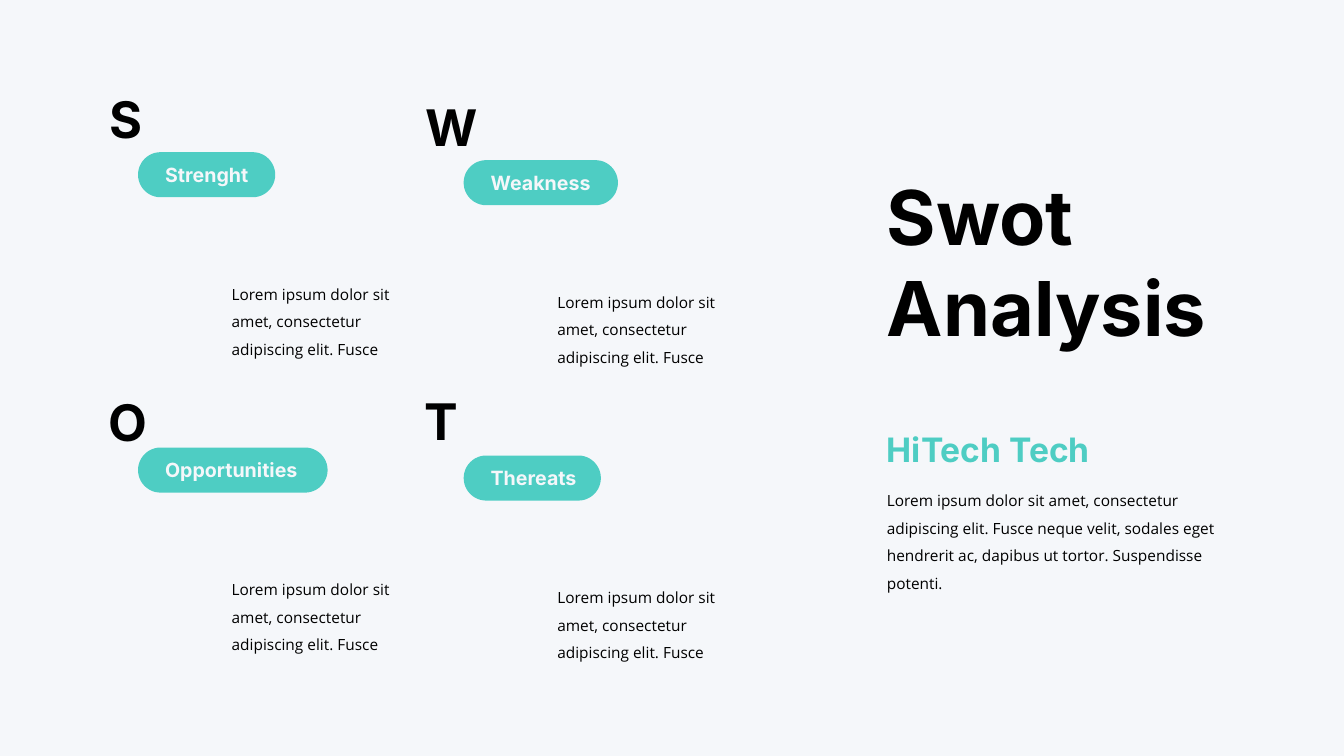
import pptx
import pptx.dml.color
import pptx.enum.shapes
import pptx.enum.text
import pptx.util

Pt = pptx.util.Pt

COLORS = {"background": "F5F7FA", "accent": "4ECDC3", "text": "000000"}

FORMATS = {
    "title": {"name": "Inter", "size": Pt(54), "bold": True},
    "subtitle": {"name": "Inter", "size": Pt(24), "bold": True},
    "letter": {"name": "Inter", "size": Pt(36), "bold": True},
    "label": {"name": "Inter", "size": Pt(14), "bold": True},
    "body": {"name": "Open Sans", "size": Pt(11), "bold": False},
}

SENTENCE = "Lorem ipsum dolor sit amet, consectetur adipiscing elit. Fusce"
DETAILS = " neque velit, sodales eget hendrerit ac, dapibus ut tortor. Suspendisse potenti."

# Letter, its offset from the pill, label, pill width
QUADRANTS = [
    ("S", (-27.4, -49), "Strenght", 98),
    ("W", (-34.6, -49), "Weakness", 110.2),
    ("O", (-28.1, -43.9), "Opportunities", 135.4),
    ("T", (-35.3, -50.4), "Thereats", 98),
]
GRID_LEFT, GRID_TOP = 98.6, 108.7
COLUMN_STEP, ROW_STEP, COLUMN_DROP = 232.6, 211, 5.7


def rgb(name):
    return pptx.dml.color.RGBColor.from_string(COLORS[name])


def add_text(slide, box, lines, style, color="text", spacing=None):
    shape = slide.shapes.add_textbox(*map(Pt, box))
    frame = shape.text_frame
    frame.word_wrap = True
    frame.auto_size = pptx.enum.text.MSO_AUTO_SIZE.SHAPE_TO_FIT_TEXT
    frame.text = "\n".join(lines)
    for paragraph in frame.paragraphs:
        paragraph.line_spacing = spacing
        for attribute, value in FORMATS[style].items():
            setattr(paragraph.font, attribute, value)
        paragraph.font.color.rgb = rgb(color)


def add_pill(slide, box):
    pill = slide.shapes.add_shape(
        pptx.enum.shapes.MSO_SHAPE.ROUNDED_RECTANGLE, *map(Pt, box))
    pill.adjustments[0] = 0.5
    pill.shadow.inherit = False
    pill.fill.solid()
    pill.fill.fore_color.rgb = rgb("accent")
    pill.line.fill.background()


def add_quadrant(slide, left, top, letter, letter_offset, label, pill_width):
    add_pill(slide, (left, top, pill_width, 32.2))
    add_text(slide, (left + 12.2, top + 4, pill_width, 24.2),
             [label], "label", "background")
    add_text(slide, (left + 59.8, top + 84.5, 127.4, 65.5),
             [SENTENCE], "body", spacing=1.5)
    add_text(slide, (left + letter_offset[0], top + letter_offset[1], 46.8, 51),
             [letter], "letter")


def add_heading(slide, left, top):
    add_text(slide, (left, top, 263.5, 138.2), ["Swot", "Analysis"], "title")
    add_text(slide, (left, top + 185, 166.3, 36), ["HiTech Tech"], "subtitle", "accent")
    add_text(slide, (left, top + 222.5, 252, 85),
             [SENTENCE + DETAILS], "body", spacing=1.5)


def main():
    presentation = pptx.Presentation()
    presentation.slide_width, presentation.slide_height = Pt(960), Pt(540)
    slide = presentation.slides.add_slide(presentation.slide_layouts[6])
    slide.background.fill.solid()
    slide.background.fill.fore_color.rgb = rgb("background")

    # Two by two grid, the right column slightly lower
    for index, quadrant in enumerate(QUADRANTS):
        row, column = divmod(index, 2)
        left = GRID_LEFT + column * COLUMN_STEP
        top = GRID_TOP + row * ROW_STEP + column * COLUMN_DROP
        add_quadrant(slide, left, top, *quadrant)

    # Title column
    add_heading(slide, 626.4, 118.1)
    presentation.save("out.pptx")


if __name__ == "__main__":
    main()
